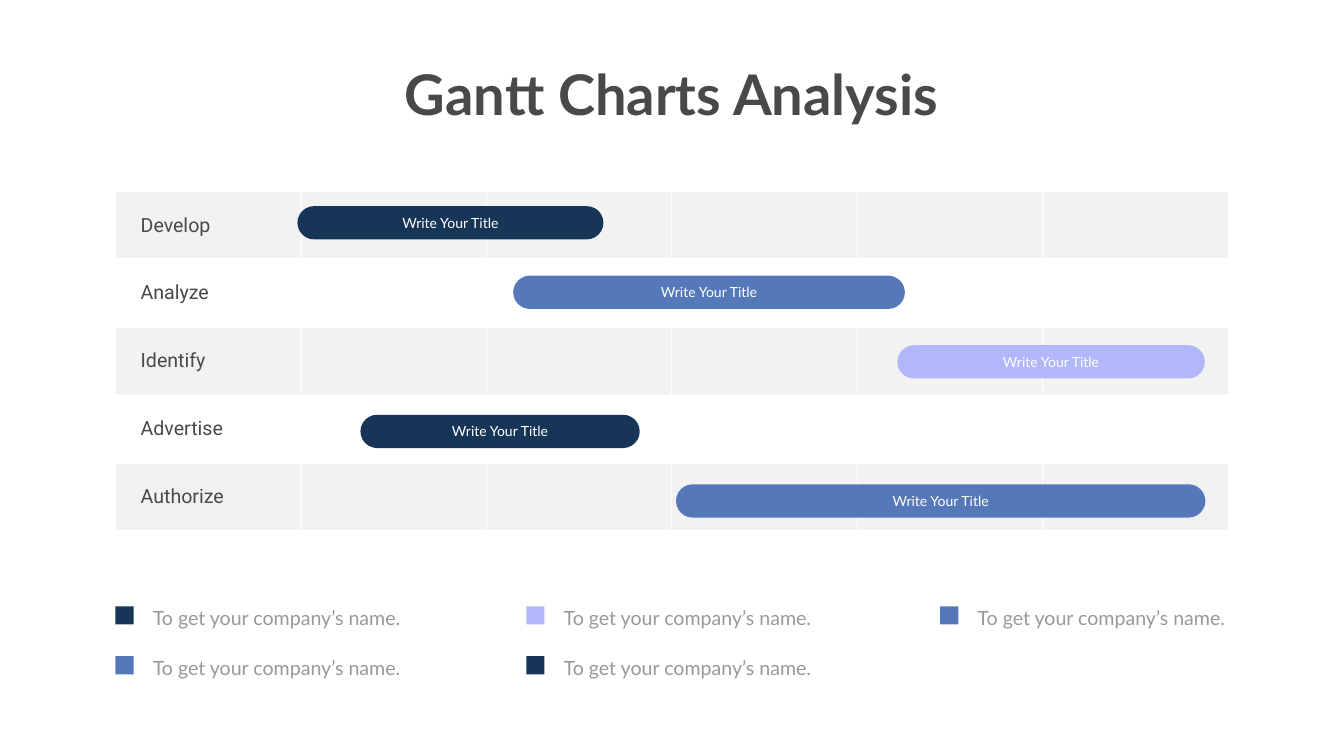
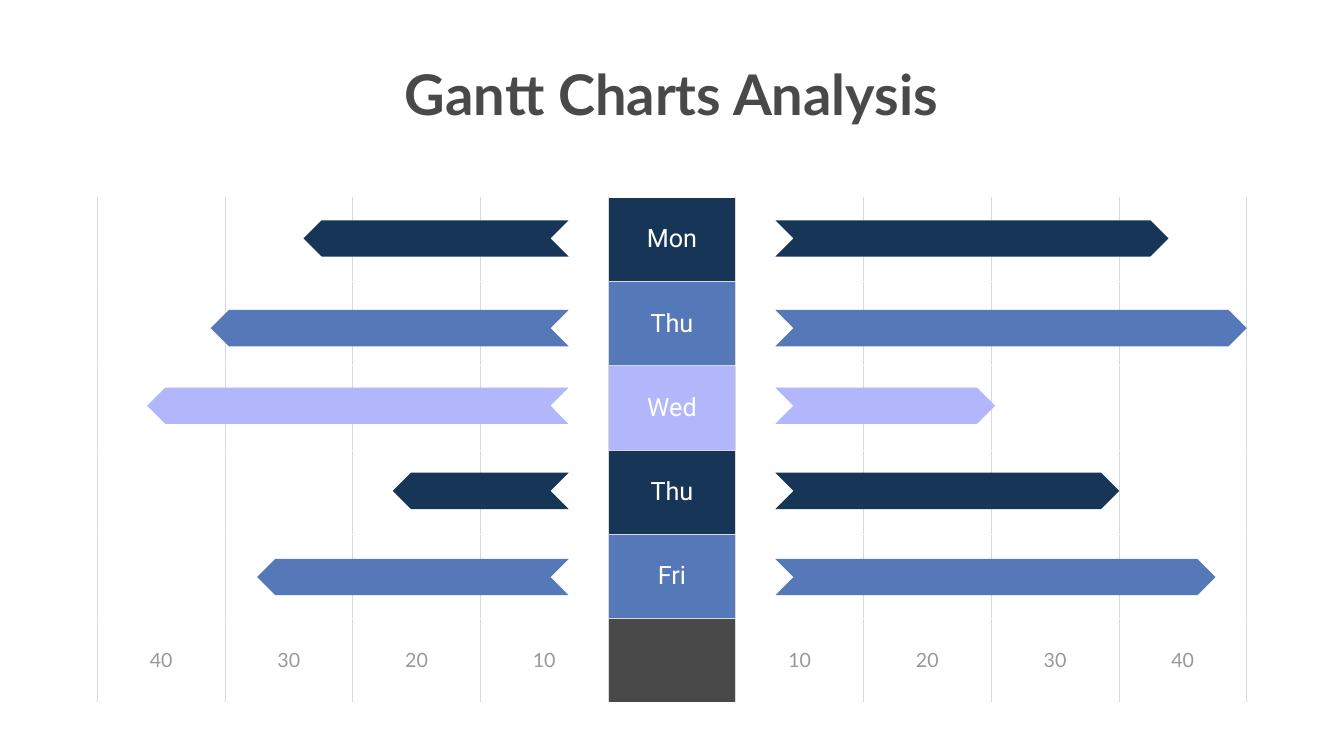
from dataclasses import dataclass

from lxml.etree import SubElement
from pptx import Presentation
from pptx.dml.color import RGBColor
from pptx.enum.shapes import MSO_SHAPE as Shape
from pptx.enum.text import MSO_ANCHOR as Anchor, MSO_AUTO_SIZE as AutoSize, PP_ALIGN as Align
from pptx.oxml.ns import qn
from pptx.util import Inches, Pt


@dataclass(frozen=True)
class Theme:
    navy: str = "173657"
    blue: str = "5578B8"
    lilac: str = "B2B7FC"
    dark: str = "494949"
    muted: str = "999999"
    grid: str = "D9D9D9"
    band: str = "F2F2F2"
    white: str = "FFFFFF"
    heading_font: str = "Lato"
    label_font: str = "Roboto"
    title_size: int = 80
    day_size: int = 36
    body_size: int = 28
    bar_size: int = 20


theme = Theme()
row_colours = [theme.navy, theme.blue, theme.lilac, theme.navy, theme.blue]


def write_text(frame, text, size, colour, font=theme.heading_font, align=Align.CENTER):
    paragraph = frame.paragraphs[0]
    paragraph.text = text
    paragraph.alignment = align
    paragraph.font.size = Pt(size)
    paragraph.font.name = font
    paragraph.font.color.rgb = RGBColor.from_string(colour)
    return paragraph


def draw_shape(slide, kind, left, top, width, height, colour):
    shape = slide.shapes.add_shape(kind, Inches(left), Inches(top), Inches(width), Inches(height))
    shape.shadow.inherit = False
    shape.fill.solid()
    shape.fill.fore_color.rgb = RGBColor.from_string(colour)
    shape.line.fill.background()
    return shape


presentation = Presentation()
presentation.slide_width = Inches(26.66)
presentation.slide_height = Inches(15)

table_plans = [
    (5, 6, (2.29, 3.8, 22.07, 6.73), theme.white),
    (6, 9, (1.93, 3.91, 22.8, 10.03), theme.grid),
]
slides, tables = [], []
day_column = 4
for row_count, column_count, (left, top, width, height), border_colour in table_plans:
    slide = presentation.slides.add_slide(presentation.slide_layouts[5])
    title = slide.shapes.title
    title.left, title.top = Inches(7.77), Inches(1.12)
    title.width, title.height = Inches(11.11), Inches(1.45)
    title.text_frame.word_wrap = False
    title.text_frame.auto_size = AutoSize.SHAPE_TO_FIT_TEXT
    write_text(title.text_frame, "Gantt Charts Analysis", theme.title_size, theme.dark).font.bold = True

    table = slide.shapes.add_table(row_count, column_count, Inches(left), Inches(top),
                                   Inches(width), Inches(height)).table
    table.first_row = table.horz_banding = False
    is_gantt = border_colour == theme.white
    for row in range(row_count):
        for column in range(column_count):
            cell = table.cell(row, column)
            cell.vertical_anchor = Anchor.MIDDLE
            sides = "LR"
            if is_gantt or (column == day_column and row > 0):
                sides += "T"
            if is_gantt or (column == day_column and row < row_count - 1):
                sides += "B"
            for side in sides:
                points = 3 if is_gantt and row == 0 and side == "B" else 1
                border = SubElement(cell._tc.get_or_add_tcPr(), qn(f"a:ln{side}"), w=str(Pt(points)))
                SubElement(SubElement(border, qn("a:solidFill")), qn("a:srgbClr"), val=border_colour)
            if is_gantt and row % 2:
                cell.fill.background()
                continue
            if is_gantt:
                colour = theme.band
            elif column == day_column:
                colour = (row_colours + [theme.dark])[row]
            else:
                colour = theme.white
            cell.fill.solid()
            cell.fill.fore_color.rgb = RGBColor.from_string(colour)
    slides.append(slide)
    tables.append(table)

gantt_slide, week_slide = slides
gantt_table, week_table = tables

for row, phase in enumerate(["Develop", "Analyze", "Identify", "Advertise", "Authorize"]):
    cell = gantt_table.cell(row, 0)
    cell.margin_left = Inches(0.5)
    cell.margin_top = cell.margin_bottom = Inches(0.06)
    write_text(cell.text_frame, phase, theme.body_size, theme.dark, theme.label_font, Align.LEFT)

bar_spans = [(5.9, 6.07), (10.18, 7.77), (17.8, 6.1), (7.15, 5.54), (13.41, 10.5)]
for row, (left, width) in enumerate(bar_spans):
    bar = draw_shape(gantt_slide, Shape.ROUNDED_RECTANGLE, left, 4.09 + 1.38 * row,
                     width, 0.66, row_colours[row])
    bar.adjustments[0] = 0.5
    bar.text_frame.vertical_anchor = Anchor.MIDDLE
    write_text(bar.text_frame, "Write Your Title", theme.bar_size, theme.white)

legend_columns = [
    (2.29, 5.79, [theme.navy, theme.blue]),
    (10.44, 5.79, [theme.lilac, theme.navy]),
    (18.65, 5.46, [theme.blue]),
]
for left, width, colours in legend_columns:
    for row, colour in enumerate(colours):
        top = 12.03 + 0.99 * row
        draw_shape(gantt_slide, Shape.RECTANGLE, left, top, 0.36, 0.36, colour)
        label = gantt_slide.shapes.add_textbox(Inches(left + 0.5), Inches(top - 0.23),
                                               Inches(width), Inches(0.75))
        frame = label.text_frame
        frame.word_wrap = True
        frame.auto_size = AutoSize.SHAPE_TO_FIT_TEXT
        frame.margin_left = frame.margin_right = Inches(0.24)
        frame.margin_top = frame.margin_bottom = Inches(0.12)
        paragraph = write_text(frame, "To get your company’s name.", theme.body_size,
                               theme.muted, align=Align.LEFT)
        paragraph.line_spacing = Pt(40.8)

for row, day in enumerate(["Mon", "Thu", "Wed", "Thu", "Fri"]):
    write_text(week_table.cell(row, day_column).text_frame, day, theme.day_size,
               theme.white, theme.label_font)

for step in range(1, 5):
    for column in (day_column - step, day_column + step):
        write_text(week_table.cell(5, column).text_frame, str(step * 10), theme.body_size, theme.muted)

arrow_rows = [(4.37, 5.26, 7.8), (6.15, 7.1, 9.35), (7.69, 8.36, 4.36), (9.38, 3.49, 6.82), (11.09, 6.18, 8.73)]
left_arrow_end, right_arrow_start = 11.28, 15.38
for (top, left_width, right_width), colour in zip(arrow_rows, row_colours):
    draw_shape(week_slide, Shape.CHEVRON, right_arrow_start, top, right_width, 0.72, colour)
    left_arrow = draw_shape(week_slide, Shape.CHEVRON, left_arrow_end - left_width, top,
                            left_width, 0.72, colour)
    left_arrow._element.spPr.get_or_add_xfrm().set("flipH", "1")

presentation.save("out.pptx")
